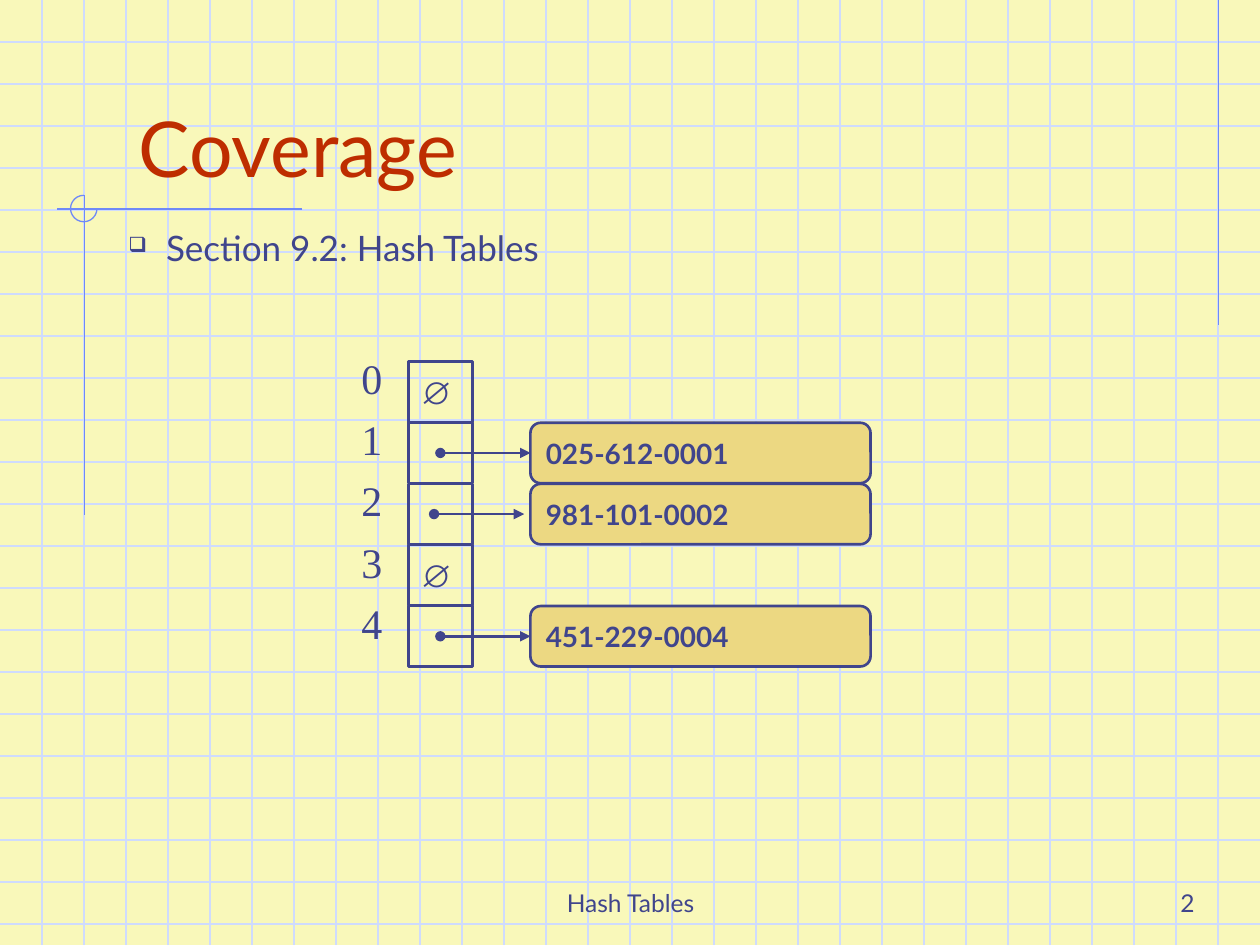
from lxml import etree
from pptx import Presentation
from pptx.dml.color import RGBColor
from pptx.enum import shapes, text
from pptx.oxml import ns
from pptx.util import Inches, Pt

TITLE = "Coverage"
TOPIC = "Section 9.2: Hash Tables"
FOOTER = "Hash Tables"
PAGE_NUMBER = "2"
EMPTY = "∅"

# One entry per bucket: (stored key or None, horizontal shift of its arrow)
BUCKETS = [
    (None, 0),
    ("025-612-0001", 0),
    ("981-101-0002", -0.05),
    (None, 0),
    ("451-229-0004", 0),
]

# Accent lines of the background: (x1, y1, x2, y2)
ACCENTS = [(9.67, 0, 9.67, 2.58), (2.4, 1.66, 0.45, 1.66), (0.67, 1.55, 0.67, 4.09)]

THEME = {
    "paper": "F9F8BA", "grid": "CFDBFD", "accent": "6F89F7",
    "title": "BE2D00", "ink": "40458C", "entry": "ECD882",
    "font": "Lato", "index_font": "Times New Roman", "symbol_font": "Arial",
    "title_size": 44, "topic_size": 20, "index_size": 24,
    "symbol_size": 18, "entry_size": 16, "footer_size": 14,
    "thin": 0.75, "thick": 1.5,
}

WIDTH, HEIGHT = 10, 7.5
GRID_STEP = 1 / 3
TABLE_TOP, ROW_PITCH, ROW_HEIGHT = 2.87, 0.485, 0.48
INDEX_LEFT, INDEX_WIDTH, INDEX_RISE = 2.77, 0.36, 0.12
CELL_LEFT, CELL_WIDTH = 3.24, 0.51
ENTRY_LEFT, ENTRY_WIDTH = 4.21, 2.7
ARROW_LEFT = CELL_LEFT + CELL_WIDTH / 2


def color(name):
    return RGBColor.from_string(THEME[name])


def add_xml(parent, tag, **attributes):
    return etree.SubElement(parent, ns.qn(tag), attributes)


def write(shape, content, *, size, font="font", ink="ink", bold=False,
          align=text.PP_ALIGN.LEFT, anchor=text.MSO_ANCHOR.TOP, bullet=None):
    frame = shape.text_frame
    frame.auto_size = text.MSO_AUTO_SIZE.NONE
    frame.word_wrap = True
    frame.vertical_anchor = anchor
    frame.margin_left = frame.margin_right = Inches(0.1)
    frame.margin_top = frame.margin_bottom = Inches(0.05)
    paragraph = frame.paragraphs[0]
    paragraph.alignment = align
    if bullet:
        add_bullet(paragraph, bullet)
    run = paragraph.add_run()
    run.text = content
    run.font.name = THEME[font]
    run.font.size = Pt(THEME[size])
    run.font.bold = bold
    run.font.color.rgb = color(ink)


def add_bullet(paragraph, character, indent=0.3):
    properties = paragraph._p.get_or_add_pPr()
    properties.set("marL", str(Inches(indent)))
    properties.set("indent", str(-Inches(indent)))
    add_xml(add_xml(properties, "a:buClr"), "a:srgbClr", val=THEME["ink"])
    add_xml(properties, "a:buSzPct", val="60000")
    add_xml(properties, "a:buChar", char=character)


def add_text(slide, box, content, **formatting):
    write(slide.shapes.add_textbox(*map(Inches, box)), content, **formatting)


def add_line(slide, ends, ink, weight, arrow=False):
    line = slide.shapes.add_connector(shapes.MSO_CONNECTOR.STRAIGHT, *map(Inches, ends))
    line.line.color.rgb = color(ink)
    line.line.width = Pt(THEME[weight])
    if arrow:
        outline = line.get_or_add_ln()
        add_xml(outline, "a:headEnd", type="oval")
        add_xml(outline, "a:tailEnd", type="triangle")
    add_xml(line._element.spPr, "a:effectLst")


def add_outline(slide, kind, box, ink="ink", weight="thick", fill=None):
    shape = slide.shapes.add_shape(kind, *map(Inches, box))
    shape.shadow.inherit = False
    if fill:
        shape.fill.solid()
        shape.fill.fore_color.rgb = color(fill)
    else:
        shape.fill.background()
    shape.line.color.rgb = color(ink)
    shape.line.width = Pt(THEME[weight])
    return shape


def draw_background(slide):
    slide.background.fill.solid()
    slide.background.fill.fore_color.rgb = color("paper")
    for step in range(1, 23):
        add_line(slide, (0, step * GRID_STEP, WIDTH, step * GRID_STEP), "grid", "thin")
    for step in range(1, 30):
        add_line(slide, (step * GRID_STEP, 0, step * GRID_STEP, HEIGHT), "grid", "thin")
    for ends in ACCENTS:
        add_line(slide, ends, "accent", "thin")
    arc = add_outline(slide, shapes.MSO_SHAPE.ARC, (0.56, 1.55, 0.21, 0.21), "accent", "thin")
    arc.adjustments[0] = 0
    arc.adjustments[1] = 162  # 270 degrees, in units of 100000/60000 degree


def place_title(slide):
    title = slide.shapes.title
    title.left, title.top, title.width, title.height = map(Inches, (1, 0.33, 8.5, 1.25))
    write(title, TITLE, size="title_size", ink="title", anchor=text.MSO_ANCHOR.BOTTOM)
    # Bring the title in front of the grid
    title._element.getparent().append(title._element)


def draw_hash_table(slide):
    middle = text.MSO_ANCHOR.MIDDLE
    tops = [TABLE_TOP + row * ROW_PITCH for row in range(len(BUCKETS))]
    for index, ((key, _), top) in enumerate(zip(BUCKETS, tops)):
        cell = add_outline(slide, shapes.MSO_SHAPE.RECTANGLE,
                           (CELL_LEFT, top, CELL_WIDTH, ROW_HEIGHT))
        if key is None:
            write(cell, EMPTY, size="symbol_size", font="symbol_font", anchor=middle)
        add_text(slide, (INDEX_LEFT, top - INDEX_RISE, INDEX_WIDTH, 0.5), str(index),
                 size="index_size", font="index_font")
    for (key, shift), top in zip(BUCKETS, tops):
        if key is None:
            continue
        entry = add_outline(slide, shapes.MSO_SHAPE.ROUNDED_RECTANGLE,
                            (ENTRY_LEFT, top, ENTRY_WIDTH, ROW_HEIGHT), fill="entry")
        entry.adjustments[0] = 0.17
        write(entry, key, size="entry_size", bold=True, anchor=middle)
        center = top + ROW_HEIGHT / 2
        add_line(slide, (ARROW_LEFT + shift, center, ENTRY_LEFT + shift, center),
                 "ink", "thick", arrow=True)


def main():
    presentation = Presentation()
    presentation.slide_width, presentation.slide_height = Inches(WIDTH), Inches(HEIGHT)
    slide = presentation.slides.add_slide(presentation.slide_layouts.get_by_name("Title Only"))
    draw_background(slide)
    place_title(slide)
    add_text(slide, (0.92, 1.75, 6.5, 0.83), TOPIC, size="topic_size", bullet="❑")
    draw_hash_table(slide)
    bottom = text.MSO_ANCHOR.BOTTOM
    add_text(slide, (3.42, 6.83, 3.17, 0.5), FOOTER, size="footer_size",
             align=text.PP_ALIGN.CENTER, anchor=bottom)
    add_text(slide, (7.5, 6.83, 2.08, 0.5), PAGE_NUMBER, size="footer_size",
             align=text.PP_ALIGN.RIGHT, anchor=bottom)
    presentation.save("out.pptx")


if __name__ == "__main__":
    main()
